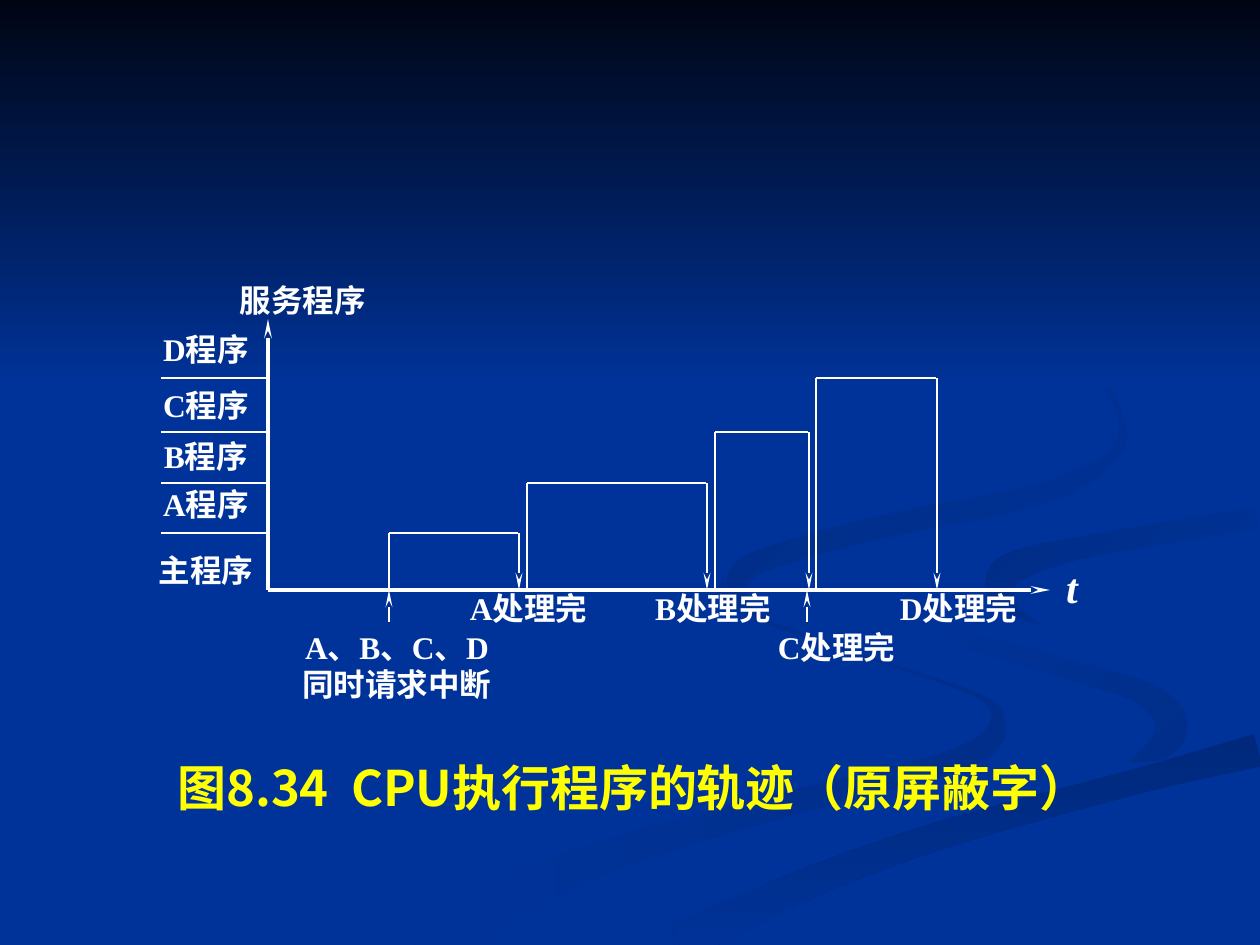
"""Build a slide that plots which service program the CPU runs over time."""
from dataclasses import dataclass
from math import hypot
from typing import NamedTuple, Optional

from lxml.etree import SubElement
from pptx import Presentation
from pptx.dml.color import RGBColor
from pptx.enum.shapes import MSO_CONNECTOR as CONN, MSO_SHAPE as SHAPE
from pptx.enum.text import MSO_ANCHOR as ANCHOR, PP_ALIGN as ALIGN
from pptx.oxml.ns import qn
from pptx.util import Pt

PX = 914400 / 126
WIDTH, HEIGHT, SKY_HEIGHT = 1260, 945, 388
AXIS_X, AXIS_Y, AXIS_TOP, AXIS_RIGHT = 268, 590, 319, 1050
TICK_LEFT, REQUEST_BOTTOM = 161, 622
THIN, MEDIUM, THICK = 0.75, 1.5, 2.25
WHITE, YELLOW, BLUE, NIGHT = "FFFFFF", "FFFF00", "003399", "000514"
SERIF, SANS = "Times New Roman", "Noto Sans CJK SC"
SMOOTHNESS = 6


class Knot(NamedTuple):
    """A place on a ribbon's centre line and the ribbon's width there."""
    x: float
    y: float
    width: float


@dataclass
class Ribbon:
    """A curved band of changing width, filled with a colour or a gradient."""
    knots: list[tuple[int, int, int]]
    colors: tuple[str, ...]
    angle: int = 0


@dataclass
class Label:
    """Centred lines of text in a box."""
    lines: tuple[str, ...]
    x: int
    y: int
    w: int
    h: int
    size: int = 18
    font: str = SERIF
    color: str = WHITE
    italic: bool = False
    leading: Optional[int] = 21
    inset: tuple[int, int] = (0, 0)


@dataclass
class Run:
    """The time one service program holds the CPU, and its level on the chart."""
    left: int
    right: int
    level: int
    fall_width: float


MAIN_RIBBON = Ribbon(
    [(1259, 497, 20), (1101, 523, 18), (1000, 546, 30), (950, 576, 60), (975, 612, 56),
     (1060, 646, 24), (1150, 674, 32), (1215, 700, 70), (1190, 745, 60), (1080, 780, 30),
     (960, 811, 10), (780, 870, 16), (625, 944, 40)], (BLUE,))
LOWER_RIBBON = Ribbon(
    [(724, 578, 1), (723, 595, 8), (747, 614, 5), (858, 654, 2), (957, 687, 4),
     (987, 701, 6), (998, 718, 14), (986, 745, 24), (930, 768, 22), (780, 806, 24),
     (585, 864, 33), (416, 944, 60)], ("002E8A", BLUE), 180)
RIGHT_CURL = Ribbon(
    [(912, 588, 1), (922, 611, 6), (960, 637, 13), (1057, 666, 18), (1134, 689, 22),
     (1163, 708, 29), (1172, 728, 31), (1160, 747, 26), (1130, 762, 2)],
    ("002E8A", BLUE), 225)
BOTTOM_BAND = Ribbon(
    [(680, 944, 40), (740, 914, 33), (818, 879, 30), (948, 833, 27), (1138, 781, 25),
     (1258, 750, 33)], ("00297C", BLUE), 90)
RIGHT_FOLD = Ribbon(
    [(1257, 518, 22), (1106, 543, 21), (1050, 555, 25), (1012, 568, 30), (1001, 581, 30),
     (1003, 600, 24), (1018, 613, 9), (1041, 625, 1)], (BLUE, "002C85"), 225)
UPPER_SWIRL = Ribbon(
    [(960, 294, 1), (1063, 350, 2), (1106, 386, 4), (1123, 430, 8), (1112, 456, 13),
     (1090, 473, 17), (1030, 497, 22), (887, 526, 22), (772, 557, 22), (741, 575, 24),
     (739, 596, 16), (748, 610, 9), (784, 630, 1)], (BLUE, "002B81"), 225)
RIBBONS = [MAIN_RIBBON, LOWER_RIBBON, RIGHT_CURL, BOTTOM_BAND, RIGHT_FOLD, UPPER_SWIRL]

RUNS = [Run(389, 519, 533, MEDIUM), Run(527, 707, 483, 1),
        Run(715, 809, 432, 1), Run(816, 937, 378, MEDIUM)]
REQUESTS = (389, 807)
LEVEL_NAMES = [("主", 552), ("A", 486), ("B", 438), ("C", 387), ("D", 331)]
DONE_NAMES = [("A", 460, 590, 137), ("B", 636, 590, 154),
              ("C", 761, 629, 151), ("D", 890, 590, 137)]
LABELS = [
    Label(("服务程序",), 217, 282, 172, 48),
    *(Label((f"{name}程序",), 150, y, 112, 47) for name, y in LEVEL_NAMES),
    *(Label((f"{name}处理完",), x, y, w, 45) for name, x, y, w in DONE_NAMES),
    Label(("t",), 1040, 561, 64, 47, size=24, italic=True, leading=None),
    Label(("A、B、C、D", "同时请求中断"), 301, 629, 192, 72),
    Label(("图8.34  CPU执行程序的轨迹（原屏蔽字）",), 128, 751, 1010, 72,
          size=28, font=SANS, color=YELLOW, leading=None, inset=(13, 6)),
]


def px(n: float) -> int:
    """Turn px into EMU."""
    return round(n * PX)


def rgb(value: str) -> RGBColor:
    """Turn a hex string into a colour."""
    return RGBColor.from_string(value)


def spline(a: float, b: float, c: float, d: float, t: float) -> float:
    """Give the Catmull-Rom value between b and c at t."""
    return b + t / 2 * (c - a + t * (2 * a - 5 * b + 4 * c - d
                                     + t * (3 * (b - c) + d - a)))


def smooth(knots: list[tuple[int, int, int]]) -> list[Knot]:
    """Add knots between the given ones along a smooth curve."""
    ends = [knots[0], *knots, knots[-1]]
    curve = [Knot(*(spline(*values, step / SMOOTHNESS) for values in zip(*window)))
             for window in zip(ends, ends[1:], ends[2:], ends[3:])
             for step in range(SMOOTHNESS)]
    return [*curve, Knot(*knots[-1])]


def ribbon_outline(knots: list[tuple[int, int, int]]) -> list[tuple[int, int]]:
    """Step half the width to both sides of the curve and join the two edges."""
    curve = smooth(knots)
    near, far = [], []
    for before, k, after in zip([curve[0], *curve], curve, [*curve[1:], curve[-1]]):
        dx, dy = after.x - before.x, after.y - before.y
        half = k.width / 2 / hypot(dx, dy)
        near.append((px(k.x - dy * half), px(k.y + dx * half)))
        far.append((px(k.x + dy * half), px(k.y - dx * half)))
    return near + far[::-1]


def paint(sp, colors: tuple[str, ...], angle: int) -> None:
    """Fill a shape with one colour or a clockwise-angled gradient, without outline."""
    sp.shadow.inherit = False
    sp.line.fill.background()
    if len(colors) == 1:
        sp.fill.solid()
        sp.fill.fore_color.rgb = rgb(colors[0])
        return
    sp.fill.gradient()
    sp.fill.gradient_angle = 360 - angle
    for stop, color in zip(sp.fill.gradient_stops, colors):
        stop.color.rgb = rgb(color)


def add_ribbon(shapes, ribbon: Ribbon) -> None:
    """Draw one background ribbon."""
    start, *rest = ribbon_outline(ribbon.knots)
    builder = shapes.build_freeform(*start)
    builder.add_line_segments(rest, close=True)
    paint(builder.convert_to_shape(), ribbon.colors, ribbon.angle)


def add_line(shapes, x1: int, y1: int, x2: int, y2: int, width: float,
             arrow: bool = False) -> None:
    """Draw a white line, with an arrowhead at its end if asked."""
    sp = shapes.add_connector(CONN.STRAIGHT, px(x1), px(y1), px(x2), px(y2))
    sp.line.width = Pt(width)
    sp.line.color.rgb = rgb(WHITE)
    if arrow:
        SubElement(sp.line._get_or_add_ln(), qn("a:tailEnd"), type="stealth",
                   w="sm", len="lg")
    SubElement(sp._element.spPr, qn("a:effectLst"))


def add_label(shapes, label: Label) -> None:
    """Write centred bold text in a wrapping box."""
    sp = shapes.add_textbox(px(label.x), px(label.y), px(label.w), px(label.h))
    tf = sp.text_frame
    side, end = map(px, label.inset)
    frame = dict(word_wrap=True, vertical_anchor=ANCHOR.TOP, margin_left=side,
                 margin_right=side, margin_top=end, margin_bottom=end)
    for name, value in frame.items():
        setattr(tf, name, value)
    style = dict(size=Pt(label.size), name=label.font, bold=True, italic=label.italic)
    for i, line in enumerate(label.lines):
        p = tf.add_paragraph() if i else tf.paragraphs[0]
        p.alignment = ALIGN.CENTER
        p.line_spacing = Pt(label.leading) if label.leading else None
        r = p.add_run()
        r.text = line
        for name, value in style.items():
            setattr(r.font, name, value)
        r.font.color.rgb = rgb(label.color)
        SubElement(r._r.get_or_add_rPr(), qn("a:ea"), typeface=SANS)


def add_run(shapes, run: Run) -> None:
    """Draw one program's level tick, rise, plateau and fall."""
    add_line(shapes, TICK_LEFT, run.level, AXIS_X, run.level, THIN)
    add_line(shapes, run.left, run.level, run.left, AXIS_Y, MEDIUM)
    add_line(shapes, run.left, run.level, run.right - 1, run.level, MEDIUM)
    add_line(shapes, run.right, run.level, run.right, AXIS_Y, run.fall_width, True)


def main() -> None:
    """Build and save the slide."""
    prs = Presentation()
    prs.slide_width, prs.slide_height = px(WIDTH), px(HEIGHT)
    s = prs.slides.add_slide(prs.slide_layouts[6])
    s.background.fill.solid()
    s.background.fill.fore_color.rgb = rgb(BLUE)
    for ribbon in RIBBONS:
        add_ribbon(s.shapes, ribbon)
    sky = s.shapes.add_shape(SHAPE.RECTANGLE, 0, 0, px(WIDTH), px(SKY_HEIGHT))
    paint(sky, (NIGHT, BLUE), 90)
    for x, y in ((AXIS_RIGHT, AXIS_Y), (AXIS_X, AXIS_TOP)):
        add_line(s.shapes, AXIS_X, AXIS_Y, x, y, THICK, True)
    for run in RUNS:
        add_run(s.shapes, run)
    for x in REQUESTS:
        add_line(s.shapes, x, REQUEST_BOTTOM, x, AXIS_Y, THIN, True)
    for label in LABELS:
        add_label(s.shapes, label)
    prs.save("out.pptx")


if __name__ == "__main__":
    main()
